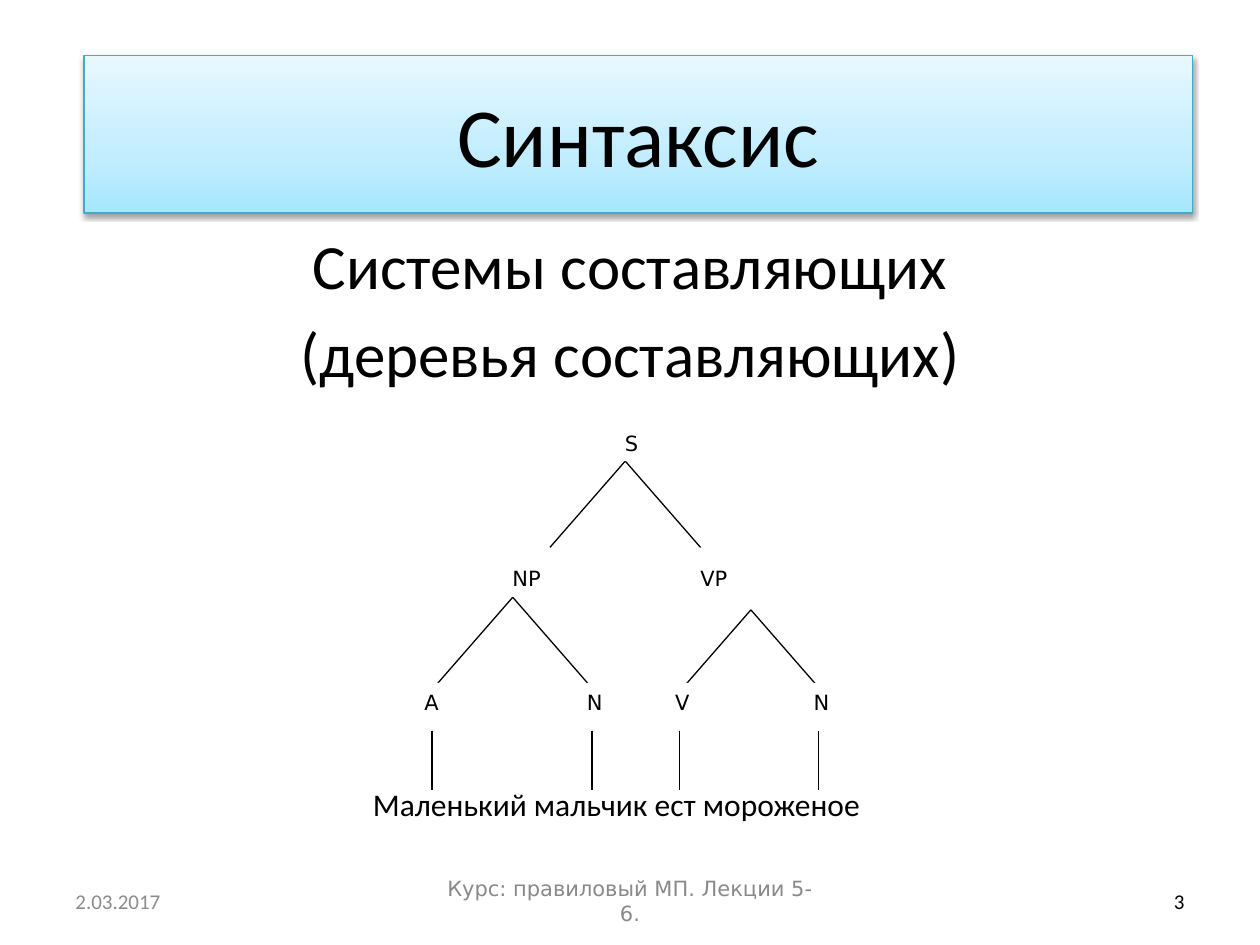
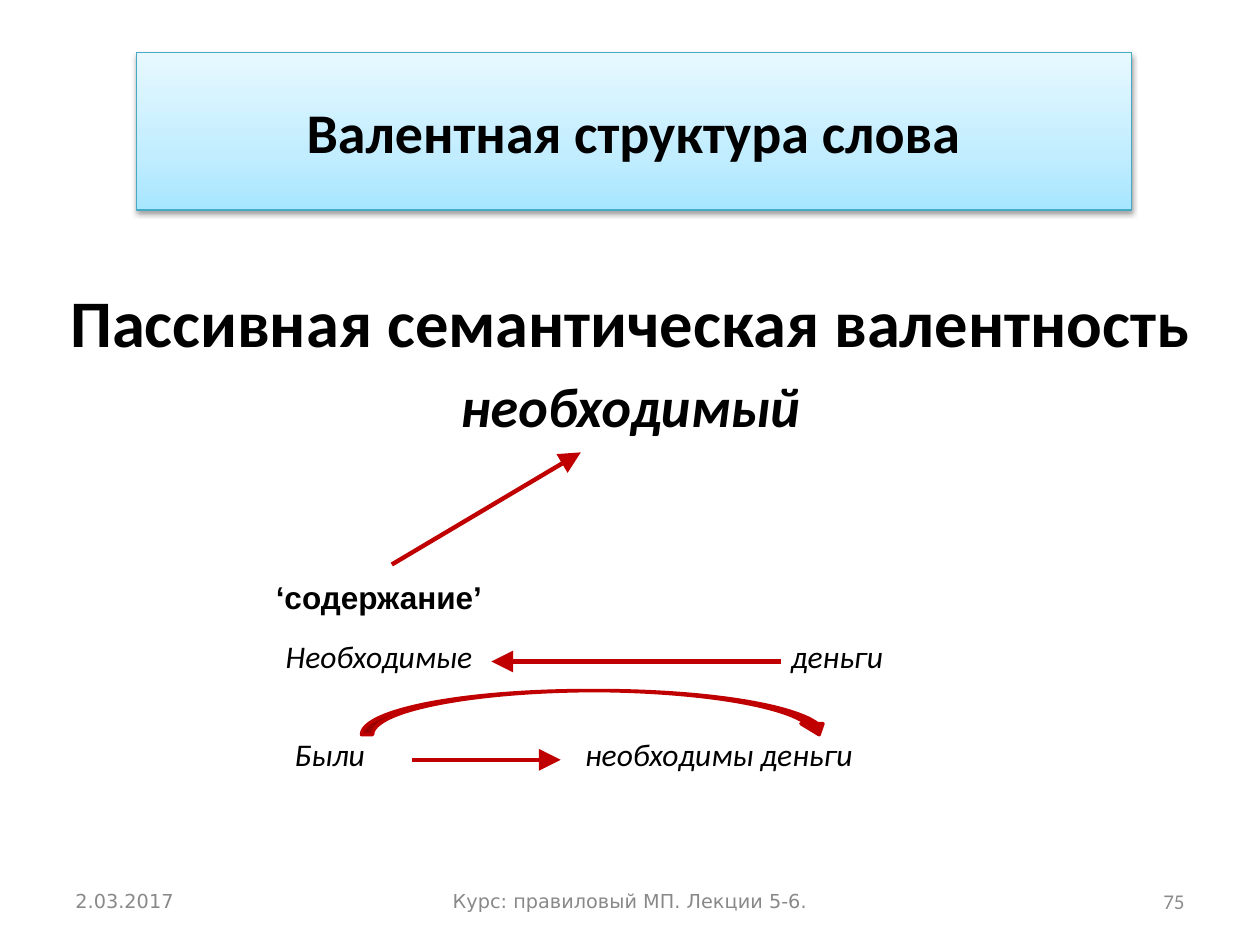
from copy import deepcopy

from lxml import etree
from pptx import Presentation
from pptx.dml.color import RGBColor
from pptx.enum.shapes import MSO_CONNECTOR, MSO_SHAPE
from pptx.enum.text import MSO_ANCHOR, PP_ALIGN
from pptx.oxml import parse_xml
from pptx.oxml.ns import nsdecls, qn
from pptx.util import Pt

LEFT, CENTER, RIGHT = PP_ALIGN.LEFT, PP_ALIGN.CENTER, PP_ALIGN.RIGHT
TOP, MIDDLE = MSO_ANCHOR.TOP, MSO_ANCHOR.MIDDLE
STRAIGHT = MSO_CONNECTOR.STRAIGHT
RECTANGLE, CURVED_ARROW = MSO_SHAPE.RECTANGLE, MSO_SHAPE.CURVED_DOWN_ARROW

COLORS = {"text": "000000", "footer": "898989", "muted": "8C8C8C",
          "border": "46AAC5", "arrow": "C00000", "node": "FFFFFF"}
TITLE_GRADIENT = [(0, "A7E6FF"), (0.35, "C1EDFF"), (1, "E7F8FF")]
SANS, CALIBRI, ARIAL = "DejaVu Sans", "Calibri", "Arial"

# Footer: left, width, alignment
FOOTER_TOP, FOOTER_HEIGHT = 500.4, 28.8
FOOTER_SLOTS = [(36, 168, LEFT), (246, 228, CENTER), (516, 168, RIGHT)]
DATE, COURSE = "2.03.2017", "Курс: правиловый МП. Лекции 5-6."

# Slide content: boxes are left, top, width, height
SYNTAX = {
    "title": ("Синтаксис", (48, 31.7, 633.6, 90), {"size": 48}),
    "body_box": (36, 126, 648, 356.4),
    "body": [("Системы составляющих", {"size": 36}, 0),
             ("(деревья составляющих)", {"size": 36}, 7.2)],
    "footer": [(DATE, {"size": 12}, "muted"),
               (COURSE, {"size": 12, "name": SANS}, "footer"),
               ("3", {"size": 12}, "text")],
}
VALENCY = {
    "title": ("Валентная структура слова", (77.8, 30, 568.8, 90),
              {"size": 32, "bold": True}),
    "body_box": (20, 157, 680.4, 108),
    "body": [("Пассивная семантическая валентность",
              {"size": 38, "bold": True}, 0),
             ("необходимый", {"size": 32, "bold": True, "italic": True}, 6.4)],
    "footer": [(DATE, {"size": 11, "name": SANS}, "footer"),
               (COURSE, {"size": 11, "name": SANS}, "footer"),
               ("75", {"size": 12}, "muted")],
}

# Constituency tree: labels by level, branch tops, word stems
NODE_HEIGHT = 20.9
TREE_LEVELS = [(242.6, 28.8, [("S", 350)]),
               (319.7, 43.2, [("NP", 285.8), ("VP", 393.1)]),
               (390.2, 28.8, [("A", 235.4), ("N", 328.3),
                              ("V", 378.7), ("N", 457.9)])]
BRANCH_TOPS = [(357.3, 263.5), (293, 341.3), (429.1, 348.5)]
BRANCH_REACH, BRANCH_DROP = 43, 49.3
STEM_XS, STEM_TOP, STEM_BOTTOM = [246.8, 338.3, 388.3, 467.7], 417.6, 451.4
SENTENCE = "Маленький мальчик ест мороженое"

# Valency examples: text, left, top, width, format
ITALIC = {"size": 18, "italic": True}
EXAMPLES = [
    ("‘содержание’", 150.5, 326.9, 142, {"size": 18, "bold": True, "name": ARIAL}),
    ("Необходимые", 156.2, 360.7, 130, ITALIC),
    ("деньги", 445, 360.7, 90, ITALIC),
    ("Были", 161.3, 416.5, 70, ITALIC),
    ("необходимы деньги", 327.3, 416.5, 190, ITALIC),
]
ARROWS = [((223.9, 322.6), (331.9, 258.5)), ((446.4, 378), (280.8, 378)),
          ((235.4, 434.2), (320.4, 434.2))]
ARC_BOX = (206.6, 394.6, 267.8, 25.2)


def color(name):
    return RGBColor.from_string(COLORS[name])


def points(values):
    return [Pt(value) for value in values]


def write(shape, lines, align=LEFT, anchor=TOP, color_name="text"):
    """Fill a shape with (text, font format, space before) lines."""
    frame = shape.text_frame
    frame.word_wrap, frame.vertical_anchor = True, anchor
    for index, (text, font_format, space) in enumerate(lines):
        paragraph = frame.add_paragraph() if index else frame.paragraphs[0]
        paragraph.alignment, paragraph.space_before = align, Pt(space)
        run = paragraph.add_run()
        run.text = text
        values = {"name": CALIBRI, **font_format, "size": Pt(font_format["size"])}
        for attribute, value in values.items():
            setattr(run.font, attribute, value)
        run.font.color.rgb = color(color_name)


def add_text(slide, box, lines, **layout):
    write(slide.shapes.add_textbox(*points(box)), lines, **layout)


def add_line(shapes, start, end, color_name="text", width=0.75, arrow=False):
    line = shapes.add_connector(STRAIGHT, *points(start + end))
    line.line.color.rgb, line.line.width = color(color_name), Pt(width)
    if arrow:
        etree.SubElement(line.line._get_or_add_ln(), qn("a:tailEnd"),
                         type="triangle", w="lg", len="lg")
    etree.SubElement(line._element.spPr, qn("a:effectLst"))


def format_title(title, text, box, font_format):
    title.left, title.top, title.width, title.height = points(box)
    title.fill.gradient()
    title.fill.gradient_angle = 90
    stop_list = title._element.spPr.find(".//" + qn("a:gsLst"))
    stop_list.append(deepcopy(stop_list[-1]))
    for stop, (position, shade) in zip(title.fill.gradient_stops, TITLE_GRADIENT):
        stop.position, stop.color.rgb = position, RGBColor.from_string(shade)
    title.line.color.rgb, title.line.width = color("border"), Pt(0.75)
    title._element.spPr.append(parse_xml(
        f'<a:effectLst {nsdecls("a")}><a:outerShdw blurRad="{Pt(3.1)}" '
        f'dist="{Pt(1.6)}" dir="5400000" rotWithShape="0"><a:srgbClr val="000000">'
        '<a:alpha val="38000"/></a:srgbClr></a:outerShdw></a:effectLst>'))
    write(title, [(text, font_format, 0)], CENTER, MIDDLE)


def add_slide(presentation, content):
    """Add a slide with title band, centred body and footer."""
    slide = presentation.slides.add_slide(presentation.slide_layouts[5])
    format_title(slide.shapes.title, *content["title"])
    add_text(slide, content["body_box"], content["body"], align=CENTER)
    for (left, width, align), (text, font_format, shade) in zip(
            FOOTER_SLOTS, content["footer"]):
        add_text(slide, (left, FOOTER_TOP, width, FOOTER_HEIGHT),
                 [(text, font_format, 0)], align=align, anchor=MIDDLE,
                 color_name=shade)
    return slide


presentation = Presentation()
presentation.slide_width, presentation.slide_height = Pt(720), Pt(540)

# Syntax slide: tree branches, then labels over them
slide = add_slide(presentation, SYNTAX)
tree = slide.shapes.add_group_shape().shapes
for x, y in BRANCH_TOPS:
    for side in (-1, 1):
        add_line(tree, (x, y), (x + side * BRANCH_REACH, y + BRANCH_DROP))
for top, width, nodes in TREE_LEVELS:
    for label, left in nodes:
        node = tree.add_shape(RECTANGLE, *points((left, top, width, NODE_HEIGHT)))
        node.shadow.inherit = False
        node.fill.solid()
        node.fill.fore_color.rgb = color("node")
        node.line.fill.background()
        write(node, [(label, {"size": 12, "name": SANS}, 0)])
add_text(slide, (190.3, 445.2, 324, 28.8), [(SENTENCE, {"size": 18}, 0)],
         align=CENTER, anchor=MIDDLE)
for x in STEM_XS:
    add_line(slide.shapes, (x, STEM_TOP), (x, STEM_BOTTOM))

# Valency slide: examples, straight arrows and the arc
slide = add_slide(presentation, VALENCY)
for text, left, top, width, font_format in EXAMPLES:
    add_text(slide, (left, top, width, 28.8), [(text, font_format, 0)])
for start, end in ARROWS:
    add_line(slide.shapes, start, end, "arrow", 2.5, arrow=True)
arc = slide.shapes.add_shape(CURVED_ARROW, *points(ARC_BOX))
arc.shadow.inherit = False
arc.fill.solid()
arc.fill.fore_color.rgb = arc.line.color.rgb = color("arrow")
arc.line.width = Pt(2)

presentation.save("out.pptx")
